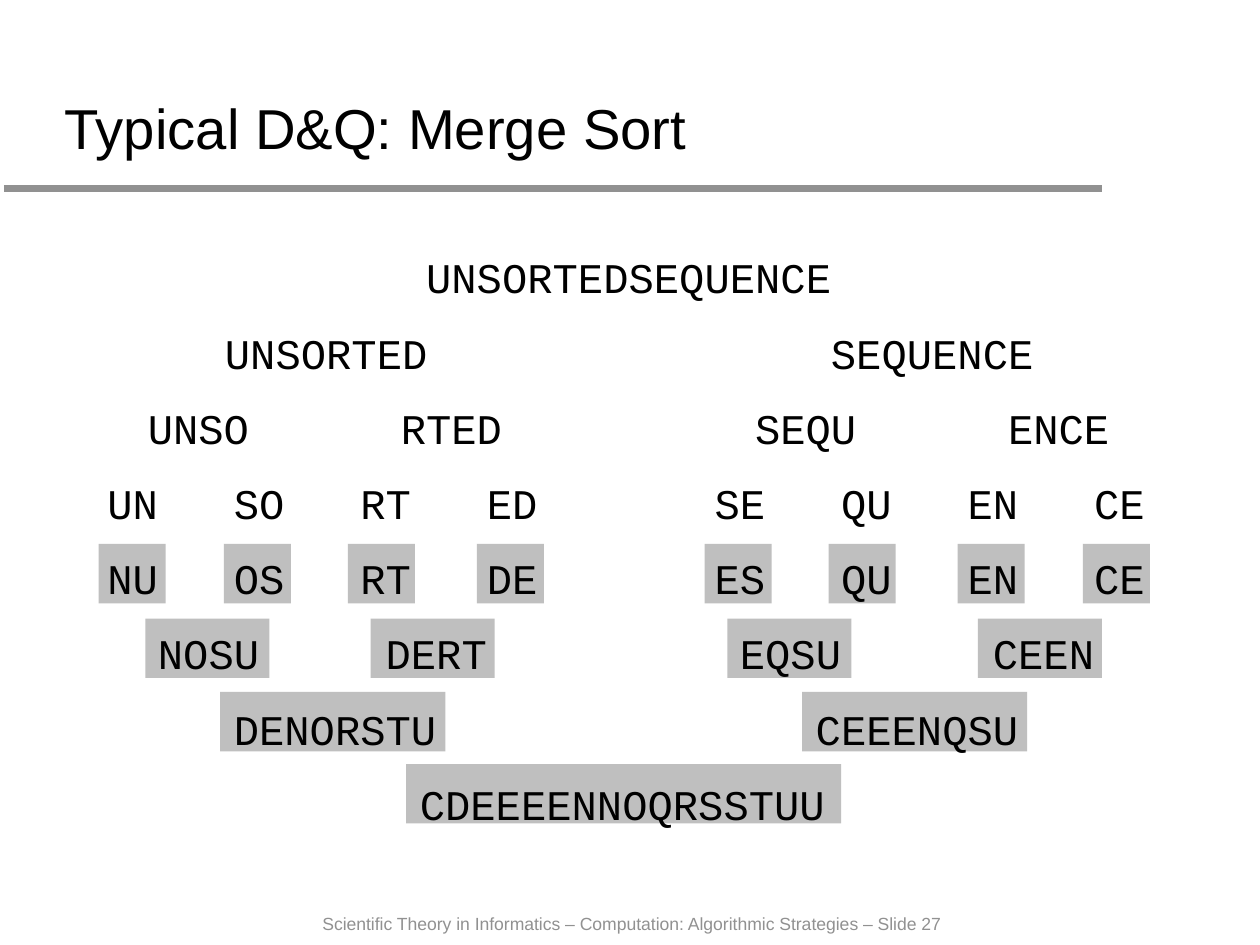
from dataclasses import dataclass
from lxml import etree
from pptx import Presentation
from pptx import util as u
from pptx.dml.color import RGBColor
from pptx.enum import shapes, text
from pptx.oxml import ns


@dataclass(frozen=True)
class Theme:
    ink: RGBColor = RGBColor(0x00, 0x00, 0x00)
    gray: RGBColor = RGBColor(0x91, 0x91, 0x91)
    highlight: RGBColor = RGBColor(0xBF, 0xBF, 0xBF)
    sans: str = "Arial"
    mono: str = "Courier New"
    title_size: int = 32
    letters_size: int = 24
    footer_size: int = 10


theme = Theme()


def format_runs(paragraph, font_name, size, color):
    for run in paragraph.runs:
        run.font.name = font_name
        run.font.size = u.Pt(size)
        run.font.color.rgb = color


def set_tab_stops(paragraph, positions):
    properties = paragraph._p.get_or_add_pPr()
    tab_list = etree.SubElement(properties, ns.qn("a:tabLst"))
    for position in positions:
        etree.SubElement(tab_list, ns.qn("a:tab"), pos=str(u.Inches(position)), algn="l")


presentation = Presentation()
presentation.slide_width = u.Inches(9.96)
presentation.slide_height = u.Inches(7.47)
slide = presentation.slides.add_slide(presentation.slide_layouts[5])

rule = slide.shapes.add_connector(
    shapes.MSO_CONNECTOR.STRAIGHT, u.Inches(0.03), u.Inches(1.49), u.Inches(8.71), u.Inches(1.49)
)
rule.line.color.rgb = theme.gray
rule.line.width = u.Pt(4)
etree.SubElement(rule._element.spPr, ns.qn("a:effectLst"))

title = slide.shapes.title
title.left, title.top = u.Inches(0.41), u.Inches(0.29)
title.width, title.height = u.Inches(9.15), u.Inches(1.03)
title.text_frame.text = "Typical D&Q: Merge Sort"
title.text_frame.vertical_anchor = text.MSO_ANCHOR.BOTTOM
title.text_frame.auto_size = text.MSO_AUTO_SIZE.NONE
title.text_frame.paragraphs[0].alignment = text.PP_ALIGN.LEFT
format_runs(title.text_frame.paragraphs[0], theme.sans, theme.title_size, theme.ink)

merged_rows = [
    (4.3, 0.53, [0.78, 1.77, 2.75, 3.77, 5.57, 6.55, 7.57, 8.56]),
    (4.89, 0.98, [1.15, 2.93, 5.75, 7.73]),
    (5.47, 1.78, [1.74, 6.34]),
    (6.04, 3.44, [3.21]),
]
for top, width, lefts in merged_rows:
    for left in lefts:
        box = slide.shapes.add_shape(
            shapes.MSO_SHAPE.RECTANGLE, u.Inches(left), u.Inches(top), u.Inches(width), u.Inches(0.47)
        )
        box.shadow.inherit = False
        box.fill.solid()
        box.fill.fore_color.rgb = theme.highlight
        box.line.fill.background()

pair_stops = [0, 1, 2, 3, 4.8, 5.8, 6.8, 7.8]
sort_steps = [
    ("UNSORTEDSEQUENCE", [2.52]),
    ("UNSORTED SEQUENCE", [0.93, 5.72]),
    ("UNSO RTED SEQU ENCE", [0.32, 2.32, 5.12, 7.12]),
    ("UN SO RT ED SE QU EN CE", pair_stops),
    ("NU OS RT DE ES QU EN CE", pair_stops),
    ("NOSU DERT EQSU CEEN", [0.4, 2.2, 5, 7]),
    ("DENORSTU CEEENQSU", [1, 5.6]),
    ("CDEEEENNOQRSSTUU", [2.47]),
]
letters = slide.shapes.add_textbox(u.Inches(0.75), u.Inches(1.84), u.Inches(8.5), u.Inches(4.89))
letters.text_frame.word_wrap = True
for index, (words, starts) in enumerate(sort_steps):
    paragraph = letters.text_frame.paragraphs[0] if index == 0 else letters.text_frame.add_paragraph()
    indent = "\t" if starts[0] else ""
    paragraph.text = indent + "\t".join(words.split())
    paragraph.line_spacing = 1.25
    paragraph.space_before = u.Pt(6.8)
    set_tab_stops(paragraph, [start for start in starts if start])
    format_runs(paragraph, theme.mono, theme.letters_size, theme.ink)

footer = slide.shapes.add_textbox(u.Inches(2.45), u.Inches(7.17), u.Inches(5.23), u.Inches(0.27))
footer.text_frame.word_wrap = False
footer.text_frame.text = (
    "Scientific Theory in Informatics – Computation: Algorithmic Strategies – Slide 27"
)
format_runs(footer.text_frame.paragraphs[0], theme.sans, theme.footer_size, theme.gray)

presentation.save("out.pptx")
